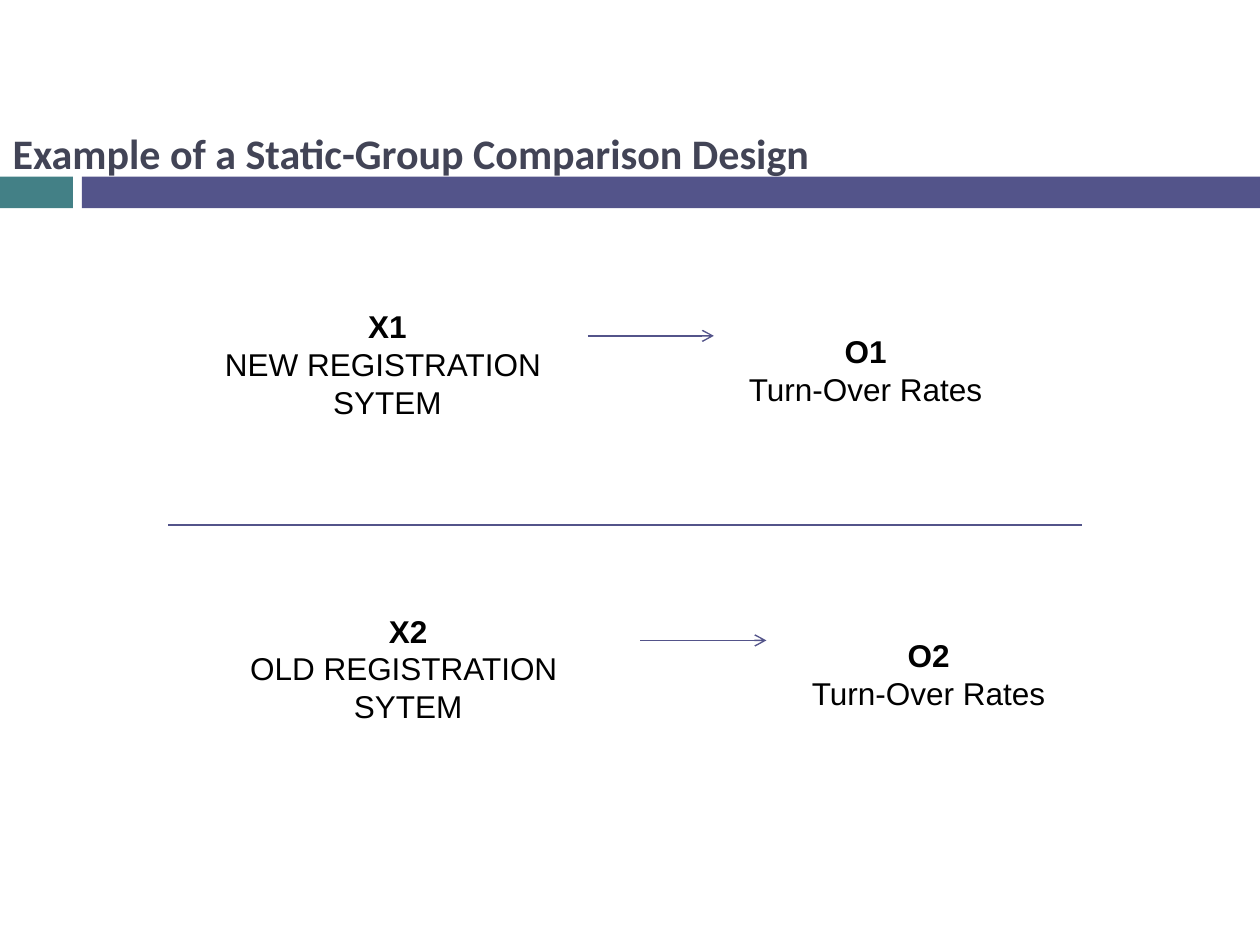
from lxml.etree import SubElement
from pptx import Presentation
from pptx.dml.color import RGBColor
from pptx.enum.shapes import MSO_CONNECTOR, MSO_SHAPE
from pptx.enum.text import MSO_ANCHOR, PP_ALIGN
from pptx.oxml.ns import qn
from pptx.util import Cm, Pt

TEAL = RGBColor(0x43, 0x80, 0x86)
INDIGO = RGBColor(0x53, 0x54, 0x8A)
SLATE = RGBColor(0x42, 0x44, 0x56)
BLACK = RGBColor(0, 0, 0)

INSET = 0.13        # normal top inset of a text box, cm
LINE_HEIGHT = 0.77  # one line of 18 pt text, cm
ARROW_LENGTH = 2.54


def write(para, text, *, size=18, font="Arial", color=BLACK, bold=False,
          align=PP_ALIGN.CENTER):
    para.text = text
    para.alignment = align
    for span in para.runs:
        span.font.size = Pt(size)
        span.font.name = font
        span.font.color.rgb = color
        span.font.bold = bold


def add_title(page, text):
    title = page.shapes.title
    title.left, title.top, title.width, title.height = (
        Cm(0), Cm(1.7), Cm(22.65), Cm(2.75))
    title.text_frame.vertical_anchor = MSO_ANCHOR.MIDDLE
    write(title.text_frame.paragraphs[0], text, size=24, font="Calibri",
          color=SLATE, bold=True, align=PP_ALIGN.LEFT)
    # Keep the title in front of the band
    page.shapes._spTree.append(title._element)


def add_bar(page, left, width, color):
    bar = page.shapes.add_shape(
        MSO_SHAPE.RECTANGLE, Cm(left), Cm(3.56), Cm(width), Cm(0.64))
    bar.shadow.inherit = False
    bar.fill.solid()
    bar.fill.fore_color.rgb = color
    bar.line.fill.background()


def add_label(page, left, top, width, height, symbol, caption, *, inset=INSET):
    box = page.shapes.add_textbox(Cm(left), Cm(top), Cm(width), Cm(height))
    frame = box.text_frame
    frame.word_wrap = False
    frame.margin_top = Cm(inset)
    write(frame.paragraphs[0], symbol, bold=True)
    write(frame.add_paragraph(), caption)


def add_line(page, left, top, length, *, arrow=False):
    line = page.shapes.add_connector(
        MSO_CONNECTOR.STRAIGHT, Cm(left), Cm(top), Cm(left + length), Cm(top))
    line.line.color.rgb = INDIGO
    line.line.width = Pt(0.79)
    if arrow:
        SubElement(line.line._get_or_add_ln(), qn("a:tailEnd"), type="arrow")
    SubElement(line._element.spPr, qn("a:effectLst"))


def add_group(page, number, system, top, *, system_left, system_width,
              arrow_left, outcome_left):
    """One compared group: treatment, arrow and observed outcome."""
    add_label(page, system_left, top, system_width, 3.33, f"X{number}",
              f"{system} REGISTRATION \nSYTEM", inset=INSET + LINE_HEIGHT)
    add_label(page, outcome_left, top + 1.27, 5.26, 2.57, f"O{number}",
              "Turn-Over Rates")
    add_line(page, arrow_left, top + 1.48, ARROW_LENGTH, arrow=True)


def main():
    deck = Presentation()
    deck.slide_width, deck.slide_height = Cm(25.4), Cm(19.05)
    page = deck.slides.add_slide(deck.slide_layouts[5])

    # Title and band
    add_bar(page, 0, 1.47, TEAL)
    add_bar(page, 1.65, 23.75, INDIGO)
    add_title(page, "Example of a Static-Group Comparison Design")

    # Two groups, divided by a rule
    add_group(page, 1, "NEW", 5.29, system_left=4.24, system_width=7.14,
              arrow_left=11.85, outcome_left=14.82)
    add_line(page, 3.39, 10.58, 18.42)
    add_group(page, 2, "OLD", 11.43, system_left=4.75, system_width=6.96,
              arrow_left=12.91, outcome_left=16.09)

    deck.save("out.pptx")


if __name__ == "__main__":
    main()
